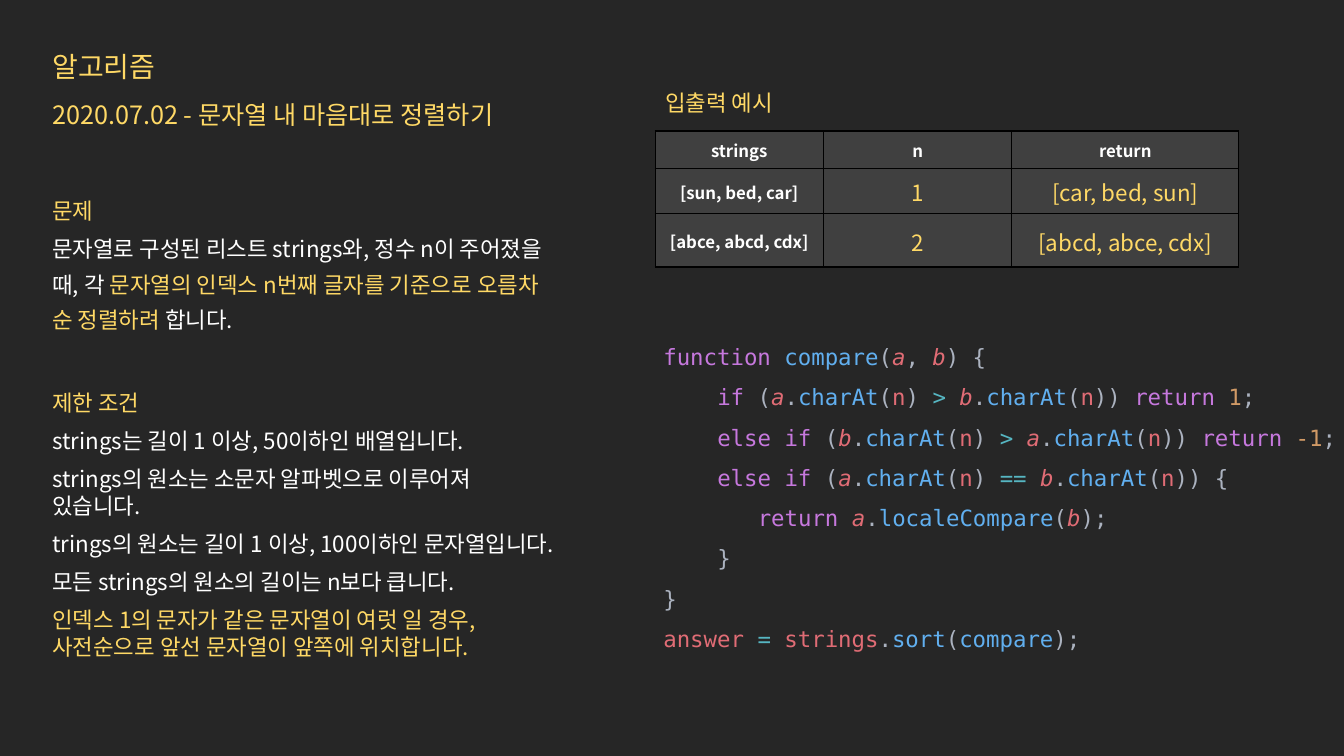
from lxml import etree
from pptx import Presentation
from pptx.dml.color import RGBColor
from pptx.enum.text import MSO_ANCHOR, PP_ALIGN
from pptx.oxml.ns import qn
from pptx.util import Cm, Pt

CENTER, MIDDLE = PP_ALIGN.CENTER, MSO_ANCHOR.MIDDLE
SANS, MONO = "Noto Sans CJK KR", "DejaVu Sans Mono"
LINE = 1.2  # line height of single spacing, in font sizes
COLORS = {
    "background": "262626", "cell": "404040", "border": "000000",
    "gold": "FFD966", "white": "FFFFFF",
    "plain": "ABB2BF", "keyword": "C678DD", "function": "61AFEF",
    "variable": "E06C75", "parameter": "E06C75", "operator": "56B6C2", "number": "D19A66",
}

# Paragraphs are lists of (text, colour) runs.
TITLE = [("알고리즘", "gold")]
SUBTITLE = [("2020.07.02 - 문자열 내 마음대로 정렬하기", "gold")]
PROBLEM = [
    [("문제", "gold")],
    [("문자열로 구성된 리스트 strings와, 정수 n이 주어졌을", "white")],
    [("때, 각 ", "white"), ("문자열의 인덱스 n번째 글자를 기준으로 오름차", "gold")],
    [("순 정렬하려 ", "gold"), ("합니다.", "white")],
]
CONDITIONS = [
    [("제한 조건", "gold")],
    [("strings는 길이 1 이상, 50이하인 배열입니다.", "white")],
    [("strings의 원소는 소문자 알파벳으로 이루어져 있습니다.", "white")],
    [("trings의 원소는 길이 1 이상, 100이하인 문자열입니다.", "white")],
    [("모든 strings의 원소의 길이는 n보다 큽니다.", "white")],
    [("인덱스 1의 문자가 같은 문자열이 여럿 일 경우, 사전순으로 앞선 문자열이 앞쪽에 위치합니다.", "gold")],
]
EXAMPLE_HEADING = [("입출력 예시", "gold")]
EXAMPLES = [
    ("strings", "n", "return"),
    ("[sun, bed, car]", "1", "[car, bed, sun]"),
    ("[abce, abcd, cdx]", "2", "[abcd, abce, cdx]"),
]
COLUMN_WIDTHS = (4.24, 4.75, 5.72)
ROW_HEIGHTS = (0.94, 1.14, 1.35)


def char_at(name):
    return [(name, "parameter"), (".", "plain"), ("charAt", "function"),
            ("(", "plain"), ("n", "variable")]


def condition(keyword, left, operator, right, end):
    return [(keyword, "keyword"), (" (", "plain"), *char_at(left), (") ", "plain"),
            (operator + " ", "operator"), *char_at(right), (end, "plain")]


def returned(number):
    return [("return ", "keyword"), (number, "number"), (";", "plain")]


# Each code line: indent in characters, then its runs.
CODE = [
    (4, [("function ", "keyword"), ("compare", "function"), ("(", "plain"),
         ("a", "parameter"), (", ", "plain"), ("b", "parameter"), (") {", "plain")]),
    (8, condition("if", "a", ">", "b", ")) ") + returned("1")),
    (8, condition("else if", "b", ">", "a", ")) ") + returned("-1")),
    (8, condition("else if", "a", "==", "b", ")) {")),
    (11, [("return ", "keyword"), ("a", "parameter"), (".", "plain"),
          ("localeCompare", "function"), ("(", "plain"), ("b", "parameter"), (");", "plain")]),
    (8, [("}", "plain")]),
    (4, [("}", "plain")]),
    (4, [("answer ", "variable"), ("=", "operator"), (" strings", "variable"),
         (".", "plain"), ("sort", "function"), ("(", "plain"),
         ("compare", "function"), (");", "plain")]),
]
CODE_SIZE = 16
CHAR_WIDTH = Pt(CODE_SIZE * 0.602)


def rgb(name):
    return RGBColor.from_string(COLORS[name])


def add_runs(p, runs, size, font=SANS, bold=False):
    for text, color in runs:
        r = p.add_run()
        r.text = text
        r.font.size, r.font.name, r.font.bold = Pt(size), font, bold
        r.font.color.rgb = rgb(color)
        if color == "parameter":
            r.font.italic = True
        etree.SubElement(r.font._element, qn("a:ea"), typeface=font)


def add_box(slide, left, top, width, height):
    tf = slide.shapes.add_textbox(Cm(left), Cm(top), Cm(width), Cm(height)).text_frame
    tf.word_wrap = True
    return tf


def add_line(tf, runs, size, spacing=1, before=0, after=0, font=SANS):
    """Fill the first paragraph if it is empty, otherwise append one."""
    p = tf.paragraphs[0] if not tf.paragraphs[0].runs else tf.add_paragraph()
    p.line_spacing = Pt(size * LINE * spacing)
    p.space_before, p.space_after = Pt(before), Pt(after)
    add_runs(p, runs, size, font)
    return p


def add_section(slide, box, paragraphs, after):
    tf = add_box(slide, *box)
    heading, *body = paragraphs
    add_line(tf, heading, 16, spacing=1.07, after=8)
    for runs in body:
        add_line(tf, runs, 16, after=after)


def set_borders(cell):
    tc_pr = cell._tc.get_or_add_tcPr()
    for i, side in enumerate(("lnL", "lnR", "lnT", "lnB")):
        ln = etree.Element(qn("a:" + side), w=str(Pt(1)))
        fill = etree.SubElement(ln, qn("a:solidFill"))
        etree.SubElement(fill, qn("a:srgbClr"), val=COLORS["border"])
        tc_pr.insert(i, ln)


def add_examples(slide):
    table = slide.shapes.add_table(
        len(EXAMPLES), len(COLUMN_WIDTHS), Cm(16.51), Cm(3.3),
        Cm(sum(COLUMN_WIDTHS)), Cm(sum(ROW_HEIGHTS))).table
    for column, width in zip(table.columns, COLUMN_WIDTHS):
        column.width = Cm(width)
    for i, values in enumerate(EXAMPLES):
        table.rows[i].height = Cm(ROW_HEIGHTS[i])
        for j, text in enumerate(values):
            cell = table.cell(i, j)
            cell.fill.solid()
            cell.fill.fore_color.rgb = rgb("cell")
            set_borders(cell)
            cell.vertical_anchor = MIDDLE
            cell.margin_left = cell.margin_right = Cm(0.03)
            cell.margin_top = cell.margin_bottom = Cm(0.03)
            p = cell.text_frame.paragraphs[0]
            p.alignment, p.line_spacing = CENTER, 1.07
            header = i == 0 or j == 0
            add_runs(p, [(text, "white" if header else "gold")],
                     12 if header else 16, bold=header)


def add_code(slide):
    tf = add_box(slide, 15.11, 8.18, 19.91, 8.71)
    for indent, runs in CODE:
        p = add_line(tf, runs, CODE_SIZE, spacing=1.5, font=MONO)
        p_pr = p._p.get_or_add_pPr()
        p_pr.set("marL", str(int(indent * CHAR_WIDTH)))
        p_pr.set("indent", "0")


def main():
    prs = Presentation()
    prs.slide_width, prs.slide_height = Cm(33.87), Cm(19.05)
    s = prs.slides.add_slide(prs.slide_layouts[6])
    s.background.fill.solid()
    s.background.fill.fore_color.rgb = rgb("background")

    tf = add_box(s, 1.07, 1.12, 17.96, 3.18)
    add_line(tf, TITLE, 20)
    add_line(tf, SUBTITLE, 18, before=12)
    add_section(s, (1.07, 4.8, 13.23, 3.84), PROBLEM, after=6)
    add_section(s, (1.07, 9.63, 13.23, 6.6), CONDITIONS, after=8)
    add_examples(s)
    add_section(s, (16.51, 2.08, 13.23, 0.97), [EXAMPLE_HEADING], after=8)
    add_code(s)
    prs.save("out.pptx")


if __name__ == "__main__":
    main()
